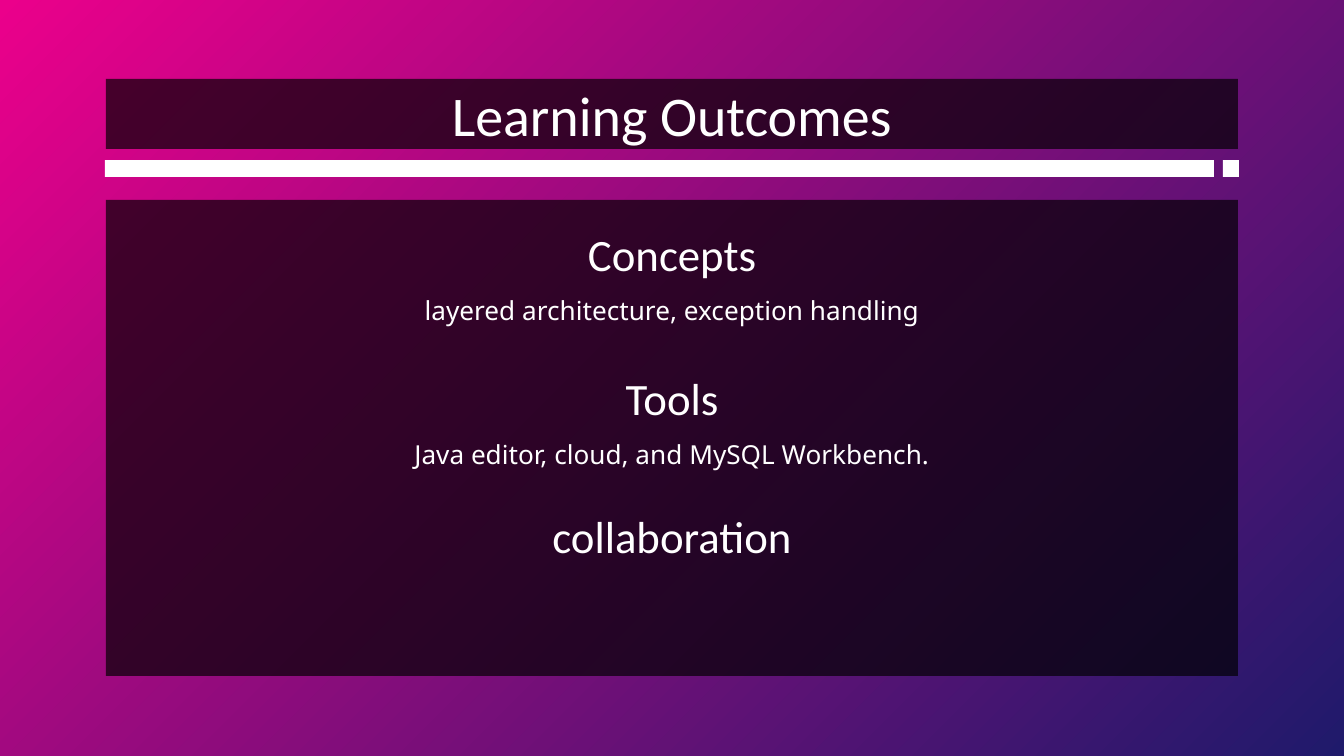
from lxml.etree import SubElement
from pptx import Presentation
from pptx.dml.color import RGBColor
from pptx.enum.shapes import MSO_SHAPE
from pptx.enum.text import MSO_ANCHOR, PP_ALIGN
from pptx.oxml.ns import qn
from pptx.util import Emu, Pt

PINK = RGBColor(0xEB, 0x00, 0x8B)
NAVY = RGBColor(0x1F, 0x1A, 0x6B)
BLACK = RGBColor(0x00, 0x00, 0x00)
WHITE = RGBColor(0xFF, 0xFF, 0xFF)

PAGE_WIDTH, PAGE_HEIGHT = 1344, 756
SCALE = 9144000 / PAGE_WIDTH
INSET = 13
TEXT_LEFT, TEXT_WIDTH = 380, 584
HEADING_HEIGHT, DETAIL_HEIGHT, DETAIL_OFFSET = 70, 86, 62

# Top of each section, heading and optional detail line
SECTIONS = [
    (219, "Concepts", "layered architecture, exception handling"),
    (363, "Tools", "Java editor, cloud, and MySQL Workbench."),
    (501, "collaboration", None),
]


def px(length):
    return Emu(round(length * SCALE))


def paint_background(page):
    """Fill the page with a gradient that spreads from the top left corner."""
    fill = page.background.fill
    fill.gradient()
    for stop, color in zip(fill.gradient_stops, (PINK, NAVY)):
        stop.color.rgb = color
    gradient = page.background._cSld.find(".//" + qn("a:gradFill"))
    gradient.remove(gradient.find(qn("a:lin")))
    spread = SubElement(gradient, qn("a:path"), path="circle")
    SubElement(spread, qn("a:fillToRect"), r="100000", b="100000")


def add_panel(page, left, top, width, height, color, opacity=100):
    panel = page.shapes.add_shape(
        MSO_SHAPE.RECTANGLE, px(left), px(top), px(width), px(height)
    )
    panel.shadow.inherit = False
    panel.line.fill.background()
    panel.fill.solid()
    panel.fill.fore_color.rgb = color
    if opacity < 100:
        color_node = panel.fill._xPr.find(".//" + qn("a:srgbClr"))
        SubElement(color_node, qn("a:alpha"), val=str(opacity * 1000))
    return panel


def write_text(box, text, size, font_name, anchor):
    frame = box.text_frame
    frame.word_wrap = True
    frame.vertical_anchor = anchor
    frame.margin_left = frame.margin_right = px(INSET)
    frame.margin_top = frame.margin_bottom = px(INSET)
    frame.text = text
    para = frame.paragraphs[0]
    para.alignment = PP_ALIGN.CENTER
    font = para.runs[0].font
    font.name = font_name
    font.size = Pt(size)
    font.color.rgb = WHITE


def add_label(page, top, height, text, size, font_name, anchor):
    box = page.shapes.add_textbox(
        px(TEXT_LEFT), px(top), px(TEXT_WIDTH), px(height)
    )
    write_text(box, text, size, font_name, anchor)


def add_section(page, top, heading, detail):
    add_label(page, top, HEADING_HEIGHT, heading, 24, "Calibri", MSO_ANCHOR.MIDDLE)
    if detail:
        add_label(page, top + DETAIL_OFFSET, DETAIL_HEIGHT, detail, 14,
                  "Noto Sans", MSO_ANCHOR.TOP)


def main():
    deck = Presentation()
    deck.slide_width, deck.slide_height = px(PAGE_WIDTH), px(PAGE_HEIGHT)
    page = deck.slides.add_slide(deck.slide_layouts[6])
    paint_background(page)

    add_panel(page, 106, 200, 1132, 476, BLACK, opacity=68)
    title = add_panel(page, 106, 79, 1132, 70, BLACK, opacity=68)
    write_text(title, "Learning Outcomes", 30, "Calibri", MSO_ANCHOR.MIDDLE)

    for top, heading, detail in SECTIONS:
        add_section(page, top, heading, detail)

    for left, width in ((105, 1109), (1223, 16)):
        add_panel(page, left, 160, width, 17, WHITE)

    deck.save("out.pptx")


if __name__ == "__main__":
    main()
